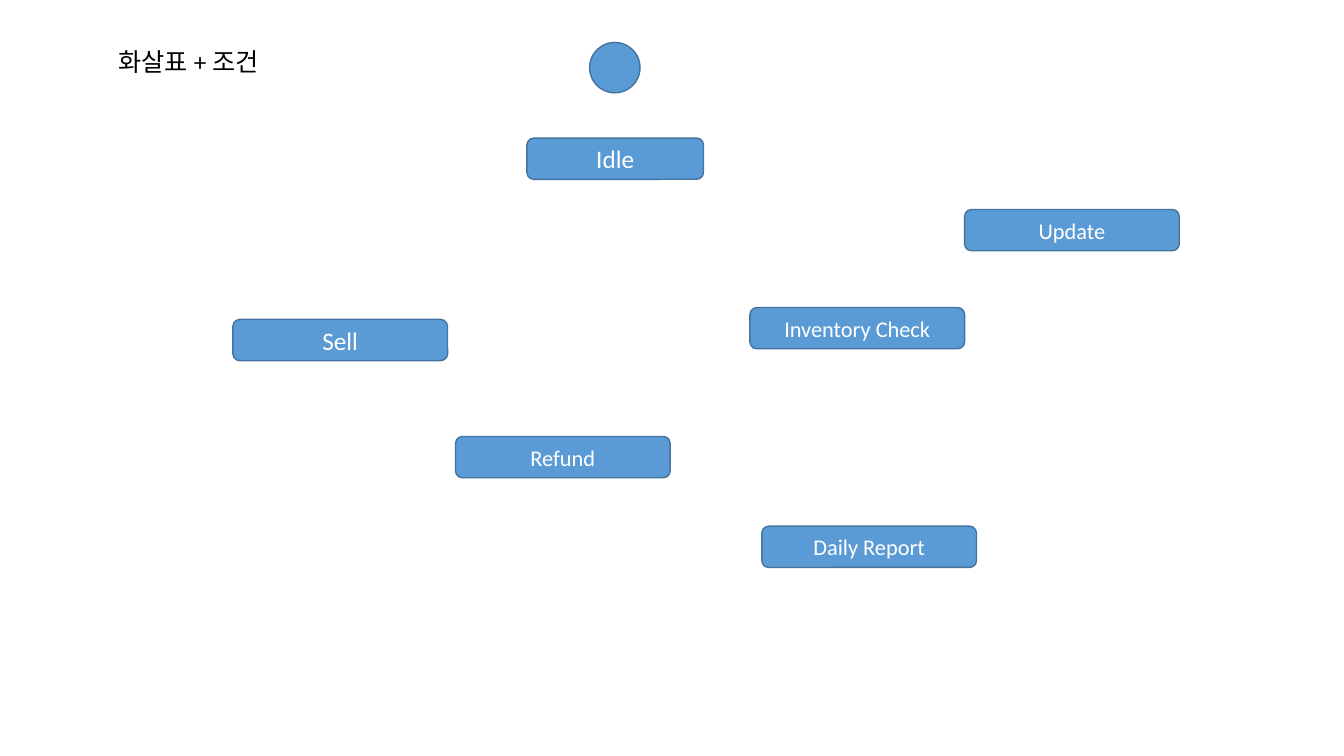
from pptx import Presentation
from pptx import util as u
from pptx.dml.color import RGBColor
from pptx.enum import shapes, text

COLOURS = {"fill": "5B9BD5", "line": "43739E", "label": "FFFFFF", "note": "000000"}
STATE_WIDTH, STATE_HEIGHT = 5.41, 1.04

# name, left, top, width, text size
STATES = [
    ("Idle", 13.28, 3.48, 4.45, 18),
    ("Sell", 5.87, 8.05, STATE_WIDTH, 18),
    ("Refund", 11.48, 11.0, STATE_WIDTH, 16),
    ("Inventory Check", 18.9, 7.75, STATE_WIDTH, 16),
    ("Update", 24.31, 5.28, STATE_WIDTH, 16),
    ("Daily Report", 19.2, 13.26, STATE_WIDTH, 16),
]


class StateDiagram:
    """Holds the style and the slide of a state diagram."""

    def __init__(self, slide, font_name="Calibri"):
        """Keep the slide to draw on and the font to use."""
        self.slide = slide
        self.font_name = font_name

    def colour(self, name):
        """Return the named colour."""
        return RGBColor.from_string(COLOURS[name])

    def set_text(self, frame, words, size, colour):
        """Put one styled paragraph in a text frame and return it."""
        paragraph = frame.paragraphs[0]
        paragraph.text = words
        paragraph.font.name = self.font_name
        paragraph.font.size = u.Pt(size)
        paragraph.font.color.rgb = self.colour(colour)
        return paragraph

    def node(self, kind, left, top, width, height):
        """Add a filled, outlined preset shape, measured in centimetres."""
        box = map(u.Cm, (left, top, width, height))
        shape = self.slide.shapes.add_shape(kind, *box)
        shape.shadow.inherit = False
        shape.fill.solid()
        shape.fill.fore_color.rgb = self.colour("fill")
        shape.line.color.rgb = self.colour("line")
        shape.line.width = u.Pt(1)
        return shape

    def start(self, left, top, diameter):
        """Add the circle that marks the start."""
        self.node(shapes.MSO_SHAPE.OVAL, left, top, diameter, diameter)

    def state(self, name, left, top, width, size):
        """Add a rounded box with the name of a state."""
        kind = shapes.MSO_SHAPE.ROUNDED_RECTANGLE
        frame = self.node(kind, left, top, width, STATE_HEIGHT).text_frame
        frame.vertical_anchor = text.MSO_ANCHOR.MIDDLE
        paragraph = self.set_text(frame, name, size, "label")
        paragraph.alignment = text.PP_ALIGN.CENTER

    def note(self, words, left, top, width, height):
        """Add a text box that grows with its wrapped text."""
        box = map(u.Cm, (left, top, width, height))
        frame = self.slide.shapes.add_textbox(*box).text_frame
        frame.word_wrap = True
        frame.auto_size = text.MSO_AUTO_SIZE.SHAPE_TO_FIT_TEXT
        self.set_text(frame, words, 18, "note")


def main():
    """Build and save the slide."""
    presentation = Presentation()
    presentation.slide_width = u.Cm(33.87)
    presentation.slide_height = u.Cm(19.05)
    blank = presentation.slide_layouts[6]
    diagram = StateDiagram(presentation.slides.add_slide(blank))

    diagram.start(14.86, 1.07, 1.27)
    for state in STATES:
        diagram.state(*state)
    diagram.note("화살표 + 조건", 2.74, 1.04, 4.3, 1.03)
    presentation.save("out.pptx")


main()
